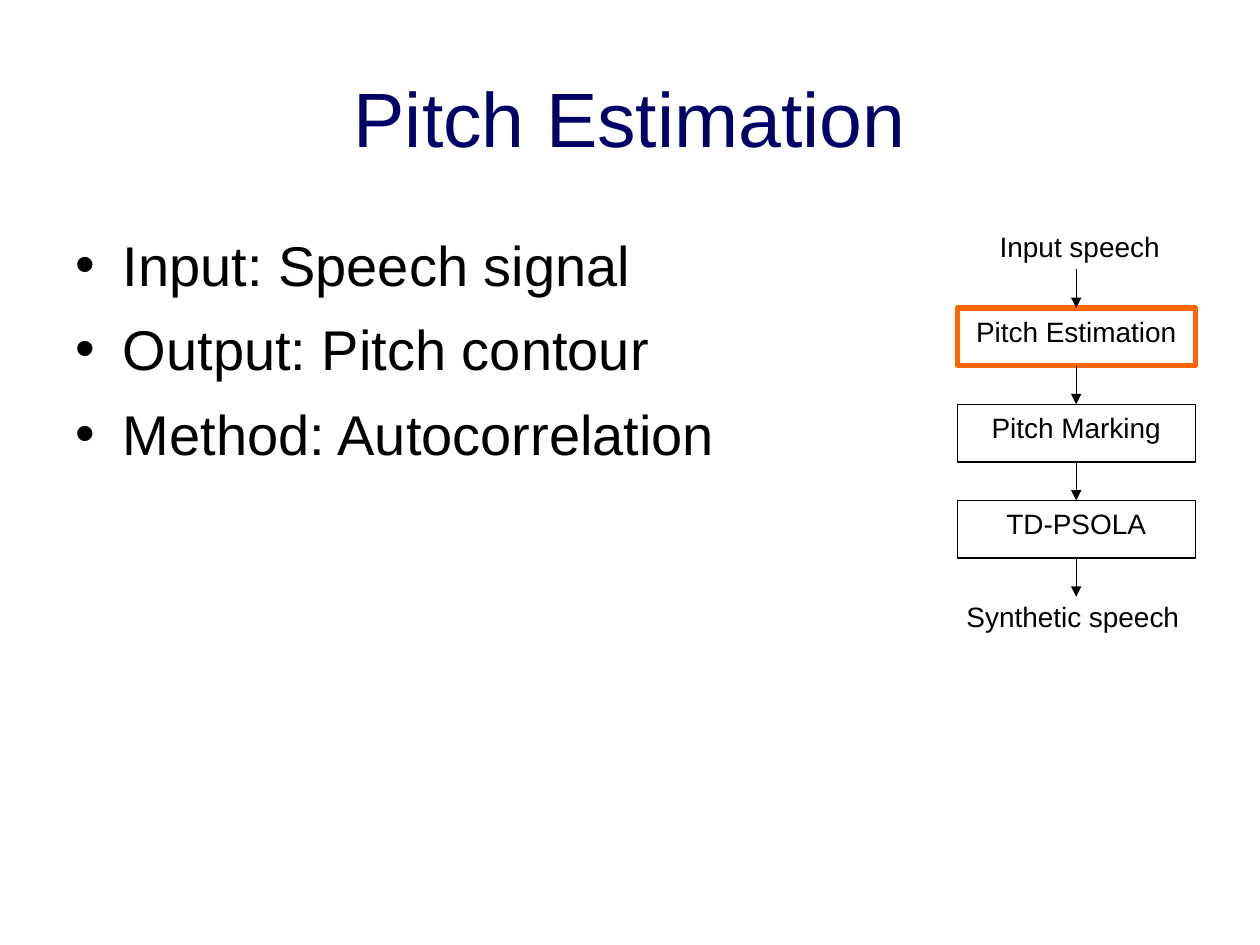
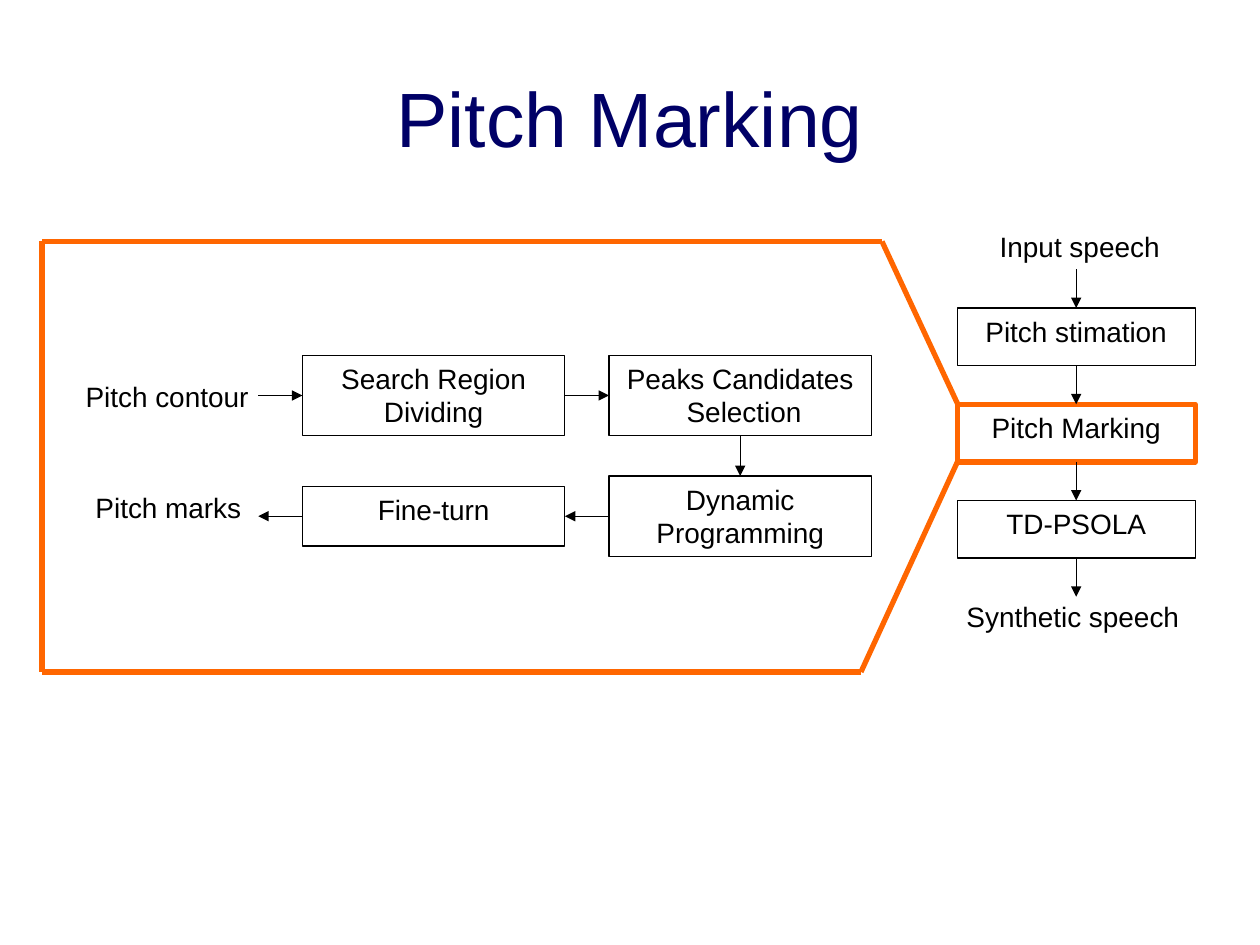
from itertools import pairwise

from lxml.etree import SubElement
from pptx import Presentation
from pptx.dml.color import RGBColor
from pptx.enum.shapes import MSO_CONNECTOR as CONN, MSO_SHAPE as SHAPE
from pptx.enum.text import MSO_ANCHOR as ANCHOR, MSO_AUTO_SIZE as AUTOSIZE, PP_ALIGN as ALIGN
from pptx.oxml.ns import qn
from pptx.util import Pt

NAVY = RGBColor(0x00, 0x00, 0x66)
BLACK = RGBColor(0x00, 0x00, 0x00)
WHITE = RGBColor(0xFF, 0xFF, 0xFF)
ORANGE = RGBColor(0xFF, 0x66, 0x00)

TITLE = {"size": Pt(44), "name": "Arial"}
BODY = {"size": Pt(32), "name": "Arial"}
LABEL = {"size": Pt(16), "name": "Arial"}

THIN, THICK = 0.75, 3
TOP, BOTTOM, LEFT, RIGHT = 0, 2, 1, 3
STACK_X, STACK_Y, STACK_W, STACK_H, STACK_GAP = 547, 176, 136, 33, 22


def place(sp, x, y, w, h):
    """Move and size a shape, in points."""
    for name, value in {"left": x, "top": y, "width": w, "height": h}.items():
        setattr(sp, name, Pt(value))


def write(tf, lines, fmt, color, align=None, space=None):
    """Fill a text frame with one formatted paragraph per line."""
    tf.word_wrap = True
    tf.auto_size = AUTOSIZE.NONE
    for i, line in enumerate(lines):
        p = tf.add_paragraph() if i else tf.paragraphs[0]
        p.alignment, p.space_before = align, space
        r = p.add_run()
        r.text = line
        for name, value in fmt.items():
            setattr(r.font, name, value)
        r.font.color.rgb = color


def add_slide(prs, layout, title):
    """Add a slide with its navy title."""
    s = prs.slides.add_slide(prs.slide_layouts.get_by_name(layout))
    sp = s.shapes.title
    place(sp, 36, 21.6, 648, 90)
    sp.text_frame.vertical_anchor = ANCHOR.MIDDLE
    write(sp.text_frame, [title], TITLE, NAVY, ALIGN.CENTER)
    return s


def bullets(s, lines, x, y, w, h):
    """Put a bulleted list in the body placeholder."""
    sp = s.placeholders[1]
    place(sp, x, y, w, h)
    write(sp.text_frame, lines, BODY, BLACK, space=Pt(9.8))


def label(s, text, x, y, w, h, align=ALIGN.CENTER):
    """Add a plain one-line label."""
    sp = s.shapes.add_textbox(Pt(x), Pt(y), Pt(w), Pt(h))
    write(sp.text_frame, [text], LABEL, BLACK, align)


def box(s, lines, x, y, w, h, color=BLACK, width=THIN):
    """Add a white outlined box with centred text at its top."""
    sp = s.shapes.add_shape(SHAPE.RECTANGLE, Pt(x), Pt(y), Pt(w), Pt(h))
    sp.shadow.inherit = False
    sp.fill.solid()
    sp.fill.fore_color.rgb = WHITE
    sp.line.color.rgb, sp.line.width = color, Pt(width)
    sp.text_frame.vertical_anchor = ANCHOR.TOP
    write(sp.text_frame, lines, LABEL, BLACK, ALIGN.CENTER)
    return sp


def line(s, start, end, color=BLACK, width=THIN):
    """Draw a straight line between two points."""
    c = s.shapes.add_connector(CONN.STRAIGHT, *map(Pt, (*start, *end)))
    c.line.color.rgb, c.line.width = color, Pt(width)
    SubElement(c._element.spPr, qn("a:effectLst"))
    return c


def arrow(s, start, end, begin=None, finish=None):
    """Draw an arrow, joined to (box, side) pairs where they are given."""
    c = line(s, start, end)
    if begin:
        c.begin_connect(*begin)
    if finish:
        c.end_connect(*finish)
    SubElement(c.line._get_or_add_ln(), qn("a:tailEnd"), type="triangle")


def speech_stack(s, steps, current):
    """Draw the column of processing steps with the current one in orange."""
    label(s, "Input speech", 545, 127.4, 144, 26.6)
    label(s, "Synthetic speech", 534.2, 339.1, 157.7, 26.6)
    boxes = []
    for i, step in enumerate(steps):
        style = (ORANGE, THICK) if i == current else (BLACK, THIN)
        y = STACK_Y + i * (STACK_H + STACK_GAP)
        boxes.append(box(s, [step], STACK_X, y, STACK_W, STACK_H, *style))
    mid = STACK_X + STACK_W / 2
    ends = [None, *boxes, None]
    for i, (upper, lower) in enumerate(pairwise(ends)):
        y = STACK_Y + i * (STACK_H + STACK_GAP)
        arrow(s, (mid, y - STACK_GAP), (mid, y),
              upper and (upper, BOTTOM), lower and (lower, TOP))


def marking_flow(s):
    """Draw the steps from pitch contour to pitch marks."""
    x1, x2, w, h = 172.8, 348, 150, 46
    y1, y2, in_y, out_y, label_end = 203, 272, 226, 295, 147.6
    label(s, "Pitch contour", 41.8, 213.1, 115, 34.6, ALIGN.LEFT)
    label(s, "Pitch marks", 47.5, 276.7, 108, 34.6, ALIGN.LEFT)
    search = box(s, ["Search Region", "Dividing"], x1, y1, w, h)
    peaks = box(s, ["Peaks Candidates", " Selection"], x2, y1, w, h)
    dynamic = box(s, ["Dynamic", "Programming"], x2, y2, w, h)
    fine = box(s, ["Fine-turn"], x1, 278, w, 34)
    arrow(s, (label_end, in_y), (x1, in_y), finish=(search, LEFT))
    arrow(s, (x1 + w, in_y), (x2, in_y), (search, RIGHT), (peaks, LEFT))
    arrow(s, (x2 + w / 2, y1 + h), (x2 + w / 2, y2), (peaks, BOTTOM), (dynamic, TOP))
    arrow(s, (x2, out_y), (x1 + w, out_y), (dynamic, LEFT), (fine, RIGHT))
    arrow(s, (x1, out_y), (label_end, out_y), begin=(fine, LEFT))


def callout(s):
    """Draw the orange outline that opens from the current step."""
    corners = [(548, 232.5), (504, 138), (24, 138), (24, 384), (492, 384), (548, 262)]
    for start, end in pairwise(corners):
        line(s, start, end, ORANGE, THICK)


def main():
    """Build both slides and save them."""
    prs = Presentation()
    prs.slide_width, prs.slide_height = Pt(720), Pt(540)

    s = add_slide(prs, "Title and Content", "Pitch Estimation")
    bullets(s, ["Input: Speech signal", "Output: Pitch contour",
                "Method: Autocorrelation"], 36, 128, 492, 144)
    speech_stack(s, ["Pitch Estimation", "Pitch Marking", "TD-PSOLA"], 0)

    s = add_slide(prs, "Title Only", "Pitch Marking")
    speech_stack(s, ["Pitch stimation", "Pitch Marking", "TD-PSOLA"], 1)
    marking_flow(s)
    callout(s)

    prs.save("out.pptx")


if __name__ == "__main__":
    main()
